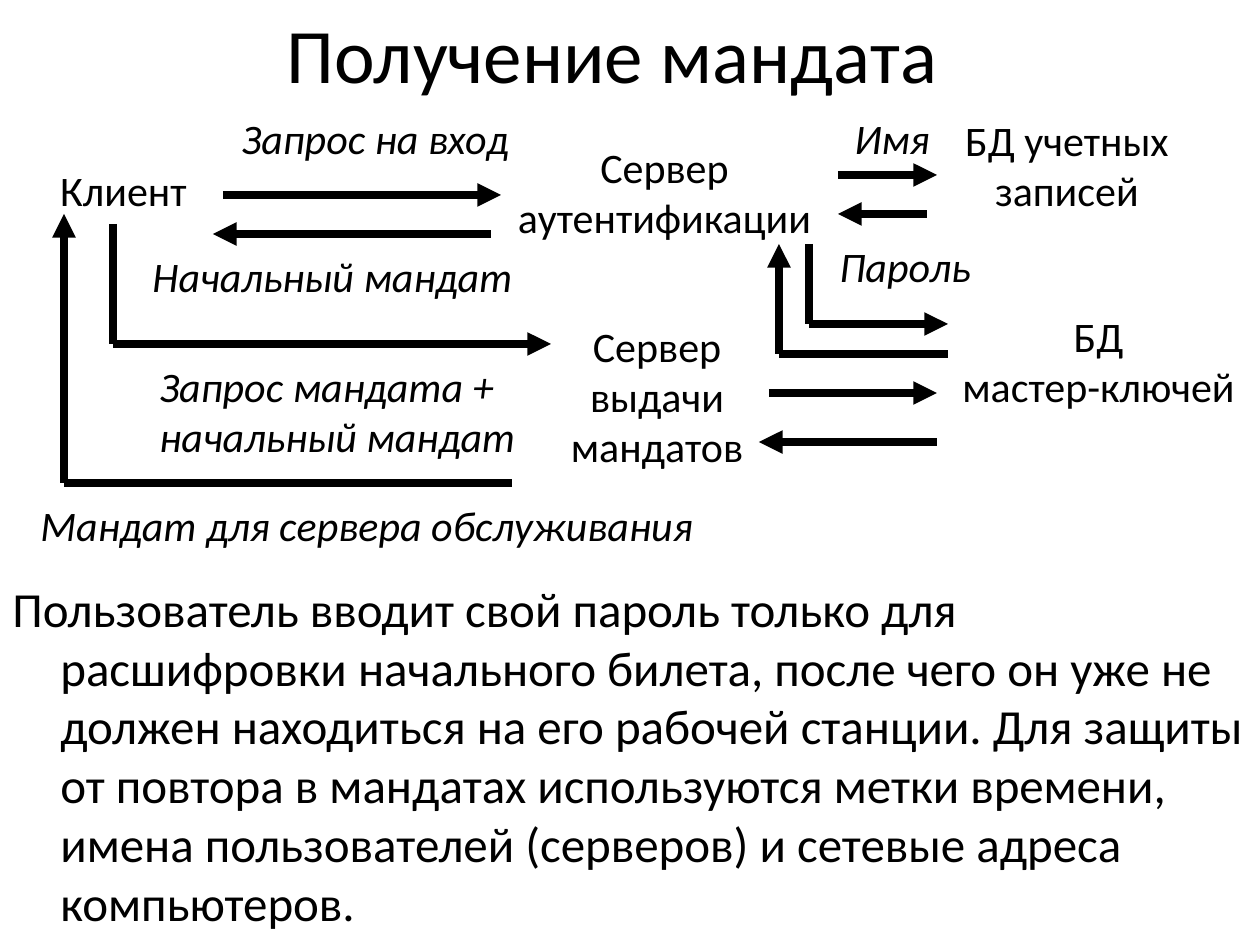
import itertools

import lxml.etree
import pptx
import pptx.dml.color
import pptx.enum.shapes
import pptx.enum.text
import pptx.oxml.ns
import pptx.util

SCALE = 914400 / 126
BLACK = pptx.dml.color.RGBColor(0, 0, 0)
WHITE = pptx.dml.color.RGBColor(255, 255, 255)
FONT = "Calibri"
LEFT = pptx.enum.text.PP_ALIGN.LEFT
MID = pptx.enum.text.PP_ALIGN.CENTER

NODES = [
    ("Клиент", 48, 53, 151, 63),
    ("Сервер\nаутентификации", 505, 30, 319, 113),
    ("БД учетных\nзаписей", 953, 3, 228, 113),
    ("БД\nмастер-ключей", 950, 199, 297, 113),
    ("Сервер\nвыдачи\nмандатов", 558, 209, 198, 164),
]
LABELS = [
    ("Запрос на вход", 229, 1, 294, 63),
    ("Имя", 842, 1, 100, 63),
    ("Пароль", 827, 129, 156, 63),
    ("Начальный мандат", 140, 139, 386, 63),
    ("Запрос мандата +\nначальный мандат", 147, 249, 381, 113),
    ("Мандат для сервера обслуживания", 28, 388, 678, 63),
]
ROUTES = [
    [(223, 90), (501, 90)],
    [(491, 129), (213, 129)],
    [(838, 70), (937, 70)],
    [(927, 109), (838, 109)],
    [(809, 139), (809, 219), (948, 219)],
    [(948, 249), (779, 249), (779, 139)],
    [(113, 119), (113, 239), (551, 239)],
    [(512, 378), (64, 378), (64, 109)],
    [(769, 288), (937, 288)],
    [(937, 337), (759, 337)],
]
NOTE = (
    "Пользователь вводит свой пароль только для расшифровки начального билета, "
    "после чего он уже не должен находиться на его рабочей станции. Для защиты "
    "от повтора в мандатах используются метки времени, имена пользователей "
    "(серверов) и сетевые адреса компьютеров."
)


def px(num):
    """Turn px into EMU."""
    return pptx.util.Emu(round(num * SCALE))


def write(frame, text, size, align, slant=False):
    """Put one styled paragraph into a text frame and return it."""
    para = frame.paragraphs[0]
    para.text = text
    para.alignment = align
    for run in para.runs:
        run.font.name = FONT
        run.font.size = pptx.util.Pt(size)
        run.font.italic = slant
        run.font.color.rgb = BLACK
    return para


def add_text(slide, box, text, align, slant=False):
    """Add an unwrapped text box with slack beside its lines."""
    frame = slide.shapes.add_textbox(*map(px, box)).text_frame
    frame.word_wrap = False
    frame.auto_size = pptx.enum.text.MSO_AUTO_SIZE.NONE
    frame.margin_right = 0
    if align == MID:
        frame.margin_left = 0
    write(frame, text, 24, align, slant)


def add_line(slide, start, end, arrow):
    """Add a thick line, with a head at its end if asked."""
    kind = pptx.enum.shapes.MSO_CONNECTOR.STRAIGHT
    line = slide.shapes.add_connector(kind, *map(px, start + end))
    line.line.color.rgb = BLACK
    line.line.width = pptx.util.Pt(4.5)
    qn = pptx.oxml.ns.qn
    props = line._element.spPr
    if arrow:
        head = lxml.etree.SubElement(props.find(qn("a:ln")), qn("a:tailEnd"))
        head.set("type", "triangle")
    lxml.etree.SubElement(props, qn("a:effectLst"))


def add_title(slide, box):
    """Place the slide title."""
    title = slide.shapes.title
    title.left, title.top, title.width, title.height = map(px, box)
    title.text_frame.vertical_anchor = pptx.enum.text.MSO_ANCHOR.MIDDLE
    write(title.text_frame, "Получение мандата ", 44, MID)


def add_flow(slide, box):
    """Draw the exchange between client, servers and databases."""
    left, top = box[:2]
    for items, align, slant in ((NODES, MID, False), (LABELS, LEFT, True)):
        for text, x, y, wide, high in items:
            add_text(slide, (left + x, top + y, wide, high), text, align, slant)
    for route in ROUTES:
        spots = [(left + x, top + y) for x, y in route]
        for start, end in itertools.pairwise(spots):
            add_line(slide, start, end, end == spots[-1])


def add_note(slide, box):
    """Place the closing paragraph with a hanging indent."""
    frame = slide.shapes.add_textbox(*map(px, box)).text_frame
    frame.word_wrap = True
    props = write(frame, NOTE, 28, LEFT)._p.get_or_add_pPr()
    props.set("marL", str(px(48)))
    props.set("indent", str(px(-48)))


def main():
    """Build and save the slide."""
    deck = pptx.Presentation()
    deck.slide_width, deck.slide_height = px(1260), px(945)
    slide = deck.slides.add_slide(deck.slide_layouts.get_by_name("Title Only"))
    slide.background.fill.solid()
    slide.background.fill.fore_color.rgb = WHITE
    add_title(slide, (54, 0, 1134, 106))
    add_flow(slide, (0, 105, 1260, 451))
    add_note(slide, (0, 572, 1260, 373))
    deck.save("out.pptx")


if __name__ == "__main__":
    main()
